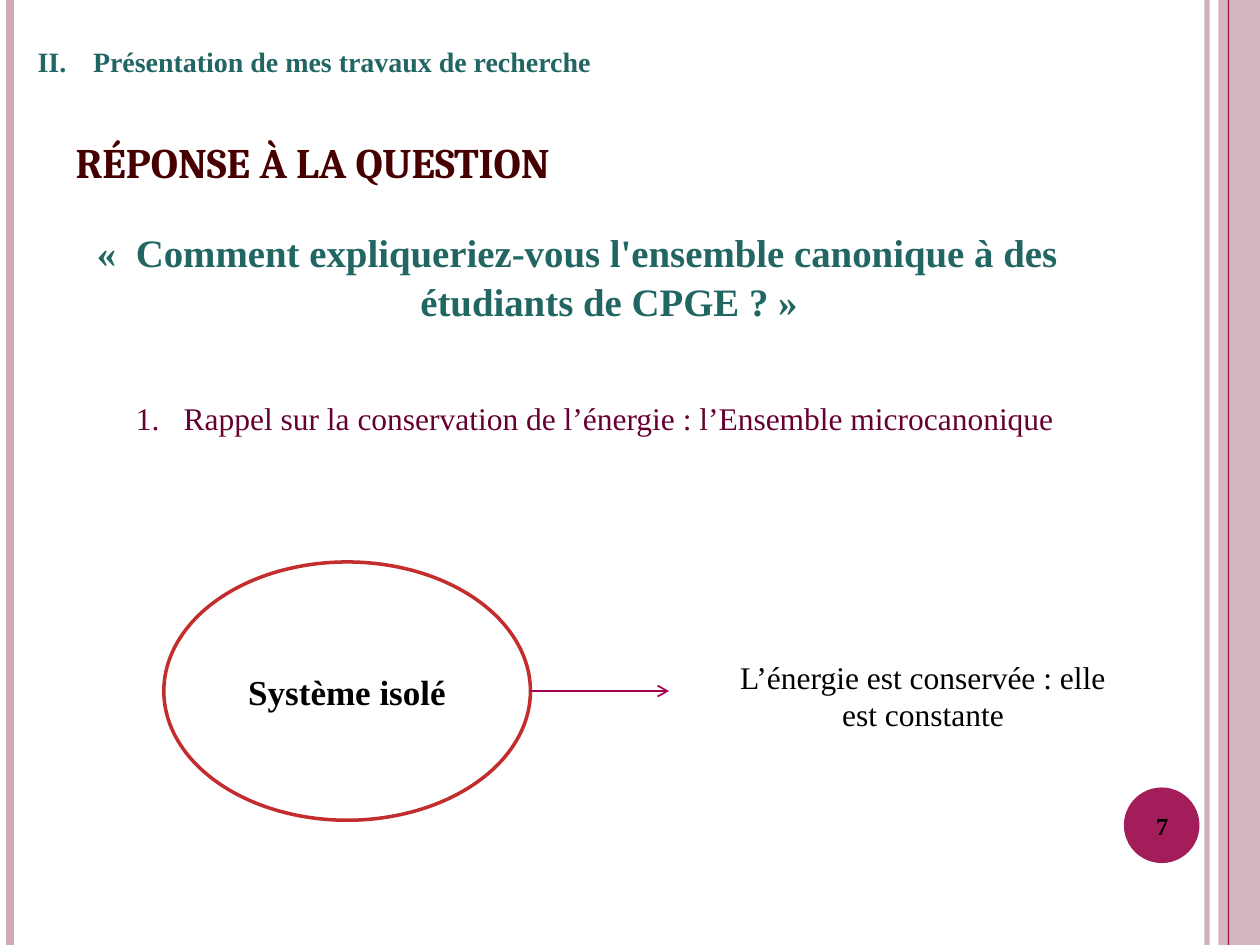
from dataclasses import dataclass

from pptx import Presentation
from pptx.dml.color import RGBColor
from pptx.enum.shapes import MSO_CONNECTOR, MSO_SHAPE
from pptx.enum.text import MSO_ANCHOR, MSO_AUTO_SIZE, PP_ALIGN
from pptx.oxml.ns import qn
from pptx.util import Inches, Pt
from lxml.etree import SubElement


@dataclass(frozen=True)
class Theme:
    """Colours, fonts and type sizes of the slide."""
    white: str = "FFFFFF"
    black: str = "000000"
    rose: str = "CEACB5"
    plum: str = "A31D5A"
    arrow: str = "A4004B"
    red: str = "C32D2E"
    maroon: str = "460000"
    teal: str = "226664"
    purple: str = "660033"
    heading_font: str = "Cambria"
    text_font: str = "Times New Roman"
    title: float = 30
    question: float = 22.2
    system: float = 20
    text: float = 18
    section: float = 16
    number: float = 14


THEME = Theme()


def set_opacity(fill, percent):
    """Make a solid colour partly transparent."""
    colour = fill._xPr.find(qn("a:solidFill"))[0]
    SubElement(colour, qn("a:alpha"), val=str(percent * 1000))


def add_line(slide, start, end, colour, width, opacity=100):
    """Draw a straight line between two points in inches."""
    line = slide.shapes.add_connector(
        MSO_CONNECTOR.STRAIGHT, *map(Inches, (*start, *end)))
    line.line.color.rgb = RGBColor.from_string(colour)
    line.line.width = Pt(width)
    if opacity < 100:
        set_opacity(line.line.fill, opacity)
    SubElement(line._element.spPr, qn("a:effectLst"))
    return line


def add_filled(slide, preset, box, colour, outline=None, width=0):
    """Draw a flat preset shape with an optional outline."""
    shape = slide.shapes.add_shape(preset, *map(Inches, box))
    shape.shadow.inherit = False
    shape.fill.solid()
    shape.fill.fore_color.rgb = RGBColor.from_string(colour)
    if outline:
        shape.line.color.rgb = RGBColor.from_string(outline)
        shape.line.width = Pt(width)
    else:
        shape.line.fill.background()
    return shape


def write(shape, text, size, colour, bold=False, font=THEME.text_font,
          align=PP_ALIGN.LEFT, anchor=MSO_ANCHOR.TOP, hanging=0, wrap=True):
    """Put one formatted paragraph in a shape and return it."""
    frame = shape.text_frame
    frame.word_wrap = wrap
    frame.auto_size = MSO_AUTO_SIZE.NONE
    frame.vertical_anchor = anchor
    paragraph = frame.paragraphs[0]
    paragraph.alignment = align
    paragraph.space_before = Pt(0)
    properties = paragraph._p.get_or_add_pPr()
    properties.set("marL", str(Inches(hanging)))
    properties.set("indent", str(-Inches(hanging)))
    run = paragraph.add_run()
    run.text = text
    run.font.name = font
    run.font.size = Pt(size)
    run.font.bold = bold
    run.font.color.rgb = RGBColor.from_string(colour)
    return paragraph


def add_text(slide, box, text, size, colour, **options):
    """Add a text box holding one paragraph."""
    return write(slide.shapes.add_textbox(*map(Inches, box)),
                 text, size, colour, **options)


def set_numbering(paragraph, scheme, start=1):
    """Number a paragraph automatically."""
    SubElement(paragraph._p.get_or_add_pPr(), qn("a:buAutoNum"),
               type=scheme, startAt=str(start))


def move(shape, box):
    """Place a shape in a box given in inches."""
    shape.left, shape.top, shape.width, shape.height = map(Inches, box)


def add_side_bands(slide, box):
    """Draw the vertical rules and the band at both edges."""
    left, top, width, height = box
    right, bottom = left + width, top + height

    def rule(x, *style):
        add_line(slide, (x, top), (x, bottom), *style)

    rule(right - 0.42, THEME.rose, 3, 93)
    rule(left + 0.08, THEME.rose, 4.5)
    rule(right - 0.25, THEME.plum, 1.5)
    band = add_filled(slide, MSO_SHAPE.RECTANGLE,
                      (right - 0.33, top, 0.33, height), THEME.rose)
    set_opacity(band.fill, 87)
    rule(right - 0.17 - 0.08, THEME.plum, 0.75)


def add_page_number(slide, box, number):
    """Draw the round page badge and its number."""
    left, top, width, height = box
    add_filled(slide, MSO_SHAPE.OVAL, box, THEME.plum)
    add_text(slide, (left - 0.03, top + 0.02, width + 0.07, height - 0.03),
             number, THEME.number, THEME.black, bold=True,
             align=PP_ALIGN.CENTER, anchor=MSO_ANCHOR.MIDDLE)


def add_section(slide, box):
    """Write the numbered section heading."""
    section = add_text(slide, box, "Présentation de mes travaux de recherche",
                       THEME.section, THEME.teal, bold=True, hanging=0.44,
                       anchor=MSO_ANCHOR.MIDDLE)
    set_numbering(section, "romanUcPeriod", 2)


def fill_title(slide, box):
    """Write the slide title in small capitals."""
    title = slide.shapes.title
    move(title, box)
    heading = write(title, "réponse à la question", THEME.title, THEME.maroon,
                    bold=True, font=THEME.heading_font, hanging=0.62,
                    anchor=MSO_ANCHOR.BOTTOM)
    heading.runs[0].font._element.set("cap", "small")


def fill_question(slide, box):
    """Write the question in the body placeholder."""
    body = slide.placeholders[1]
    move(body, box)
    question = write(
        body,
        "«  Comment expliqueriez-vous l'ensemble canonique à des étudiants de CPGE ? »",
        THEME.question, THEME.teal, bold=True, hanging=0.5,
        align=PP_ALIGN.CENTER)
    question.line_spacing = 1.05
    SubElement(question._p.get_or_add_pPr(), qn("a:buNone"))


def add_reminder(slide, box):
    """Write the numbered reminder."""
    reminder = add_text(
        slide, box,
        "Rappel sur la conservation de l’énergie : l’Ensemble microcanonique",
        THEME.text, THEME.purple, hanging=0.38, wrap=False)
    set_numbering(reminder, "arabicPeriod")


def add_energy_diagram(slide, box):
    """Draw the isolated system, an arrow and its consequence."""
    left, top, width, height = box
    system_width = 2.91
    edge, middle = left + system_width, top + height / 2
    system = add_filled(slide, MSO_SHAPE.OVAL,
                        (left, top, system_width, height),
                        THEME.white, THEME.red, 2)
    write(system, "Système isolé", THEME.system, THEME.black, bold=True,
          align=PP_ALIGN.CENTER, anchor=MSO_ANCHOR.MIDDLE)
    arrow = add_line(slide, (edge, middle), (edge + 1.1, middle),
                     THEME.arrow, 1)
    SubElement(arrow.line._get_or_add_ln(), qn("a:tailEnd"), type="arrow")
    result_width = 3.39
    add_text(slide, (left + width - result_width, top + 0.71, result_width, 0.71),
             "L’énergie est conservée : elle est constante",
             THEME.text, THEME.black, align=PP_ALIGN.CENTER)


def main():
    """Build and save the slide."""
    deck = Presentation()
    deck.slide_width, deck.slide_height = Inches(10), Inches(7.5)
    slide = deck.slides.add_slide(deck.slide_layouts[1])
    add_side_bands(slide, (0, 0, 10, 7.5))
    add_page_number(slide, (8.92, 6.25, 0.6, 0.6), "7")
    fill_title(slide, (0.5, 0.84, 8.99, 0.71))
    add_section(slide, (0.2, 0.29, 6.61, 0.4))
    fill_question(slide, (0.5, 1.75, 8.17, 0.82))
    add_energy_diagram(slide, (1.3, 4.46, 7.72, 2.05))
    add_reminder(slide, (0.98, 3.12, 7.56, 0.4))
    deck.save("out.pptx")


if __name__ == "__main__":
    main()
